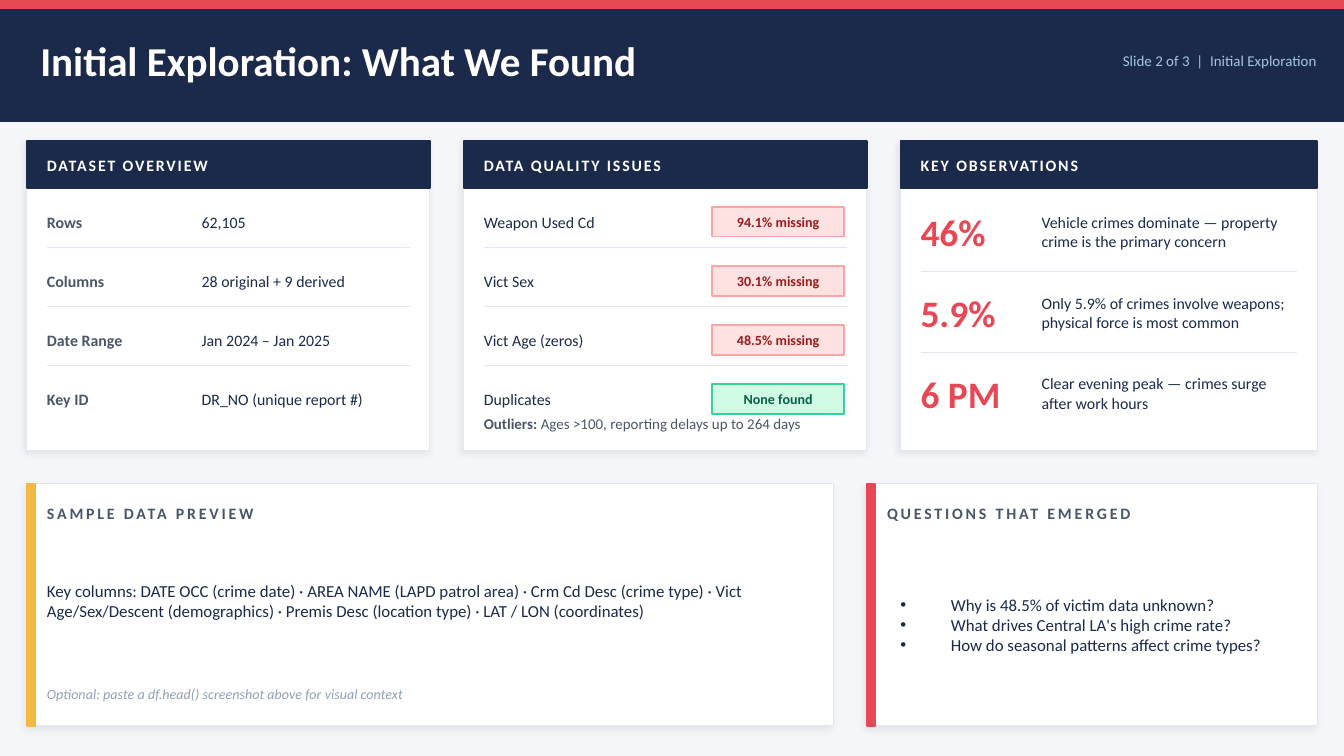
from lxml.etree import SubElement
from pptx import Presentation
from pptx.dml.color import RGBColor
from pptx.enum.shapes import MSO_CONNECTOR, MSO_SHAPE
from pptx.enum.text import MSO_ANCHOR, MSO_AUTO_SIZE, PP_ALIGN
from pptx.oxml import parse_xml
from pptx.oxml.ns import nsdecls, qn
from pptx.util import Pt

NAVY = RGBColor(0x1B, 0x2A, 0x4A)
RED = RGBColor(0xE8, 0x48, 0x55)
YELLOW = RGBColor(0xF4, 0xB9, 0x42)
WHITE = RGBColor(0xFF, 0xFF, 0xFF)
PAGE = RGBColor(0xF4, 0xF6, 0xFA)
RULE = RGBColor(0xE2, 0xE8, 0xF2)
SLATE = RGBColor(0x4A, 0x55, 0x68)
MUTED = RGBColor(0x8D, 0xA1, 0xB9)
SKY = RGBColor(0xA8, 0xC4, 0xE0)
BAD = (RGBColor(0xFE, 0xE2, 0xE2), RGBColor(0xFC, 0xA5, 0xA5), RGBColor(0x99, 0x1B, 0x1B))
GOOD = (RGBColor(0xD1, 0xFA, 0xE5), RGBColor(0x34, 0xD3, 0x99), RGBColor(0x06, 0x5F, 0x46))
SHADOW = (
    f'<a:effectLst {nsdecls("a")}><a:outerShdw blurRad="50800" dist="25400" dir="8100000" '
    'algn="bl" rotWithShape="0"><a:srgbClr val="000000"><a:alpha val="8000"/></a:srgbClr>'
    '</a:outerShdw></a:effectLst>'
)

prs = Presentation()
prs.slide_width, prs.slide_height = Pt(720), Pt(405)
slide = prs.slides.add_slide(prs.slide_layouts[1])
slide.background.fill.solid()
slide.background.fill.fore_color.rgb = PAGE
shapes = slide.shapes
title, questions = slide.placeholders


def box(left, top, width, height, fill, line, weight=1):
    shape = shapes.add_shape(MSO_SHAPE.RECTANGLE, Pt(left), Pt(top), Pt(width), Pt(height))
    shape.fill.solid()
    shape.fill.fore_color.rgb = fill
    shape.line.color.rgb = line
    shape.line.width = Pt(weight)
    shape.shadow.inherit = False
    return shape


def write(shape, area, text, size, color, bold=False, italic=False,
          align=PP_ALIGN.LEFT, spacing=0, inset=(0, 0)):
    shape.left, shape.top, shape.width, shape.height = [Pt(length) for length in area]
    frame = shape.text_frame
    frame.text = text
    frame.word_wrap = True
    frame.auto_size = MSO_AUTO_SIZE.NONE
    frame.vertical_anchor = MSO_ANCHOR.MIDDLE
    frame.margin_left = frame.margin_right = Pt(inset[0])
    frame.margin_top = frame.margin_bottom = Pt(inset[1])
    for paragraph in frame.paragraphs:
        paragraph.alignment = align
        paragraph.space_before = Pt(0)
        for run in paragraph.runs:
            run.font.name = "Calibri"
            run.font.size = Pt(size)
            run.font.bold = bold
            run.font.italic = italic
            run.font.color.rgb = color
            if spacing:
                run._r.get_or_add_rPr().set("spc", str(int(spacing * 100)))
    return frame


box(0, 0, 720, 64.8, NAVY, NAVY)
box(0, 0, 720, 4.32, RED, RED)
shapes._spTree.append(title._element)
write(title, (21.6, 0, 576, 64.8), "Initial Exploration: What We Found", 22, WHITE, bold=True)
progress = shapes.add_textbox(0, 0, 0, 0)
write(progress, (540, 0, 165.6, 64.8), "Slide 2 of 3  |  Initial Exploration", 8, SKY,
      align=PP_ALIGN.RIGHT)

for left, top, width, height, heading, accent in [
    (14.4, 75.6, 216, 165.6, "DATASET OVERVIEW", None),
    (248.4, 75.6, 216, 165.6, "DATA QUALITY ISSUES", None),
    (482.4, 75.6, 223.2, 165.6, "KEY OBSERVATIONS", None),
    (14.4, 259.2, 432, 129.6, "SAMPLE DATA PREVIEW", YELLOW),
    (464.4, 259.2, 241.2, 129.6, "QUESTIONS THAT EMERGED", RED),
]:
    card = box(left, top, width, height, WHITE, RULE, 0.5)
    card._element.spPr.remove(card._element.spPr.find(qn("a:effectLst")))
    card._element.spPr.append(parse_xml(SHADOW))
    if accent:
        box(left, top, 4.32, height, accent, accent)
        write(shapes.add_textbox(0, 0, 0, 0), (left + 10.8, top + 5.76, width - 21.6, 20.16),
              heading, 8.5, SLATE, bold=True, spacing=1.5)
    else:
        band = box(left, top, width, 25.2, NAVY, NAVY)
        write(band, (left, top, width, 25.2), heading, 8.5, WHITE, bold=True, spacing=1,
              inset=(10.8, 0))

for left, width, first, step, count in [
    (25.2, 194.4, 132.48, 31.68, 3),
    (259.2, 194.4, 132.48, 31.68, 3),
    (493.2, 201.6, 145.44, 43.2, 2),
]:
    for index in range(count):
        y = Pt(first + index * step)
        rule = shapes.add_connector(MSO_CONNECTOR.STRAIGHT, Pt(left), y, Pt(left + width), y)
        rule.line.color.rgb = RULE
        rule.line.width = Pt(0.5)
        SubElement(rule._element.spPr, qn("a:effectLst"))

for index, (label, value) in enumerate([
    ("Rows", "62,105"),
    ("Columns", "28 original + 9 derived"),
    ("Date Range", "Jan 2024 – Jan 2025"),
    ("Key ID", "DR_NO (unique report #)"),
]):
    top = 108 + index * 31.68
    write(shapes.add_textbox(0, 0, 0, 0), (25.2, top, 79.2, 21.6), label, 8.5, SLATE, bold=True)
    write(shapes.add_textbox(0, 0, 0, 0), (108, top, 111.6, 21.6), value, 8.5, NAVY)

for index, (column, finding, (fill, line, ink)) in enumerate([
    ("Weapon Used Cd", "94.1% missing", BAD),
    ("Vict Sex", "30.1% missing", BAD),
    ("Vict Age (zeros)", "48.5% missing", BAD),
    ("Duplicates", "None found", GOOD),
]):
    top = 108 + index * 31.68
    write(shapes.add_textbox(0, 0, 0, 0), (259.2, top, 111.6, 21.6), column, 8.5, NAVY)
    badge_area = (381.6, top + 2.88, 70.56, 15.84)
    badge = box(*badge_area, fill, line)
    write(badge, badge_area, finding, 7.5, ink, bold=True, align=PP_ALIGN.CENTER)

outliers = write(shapes.add_textbox(0, 0, 0, 0), (259.2, 216, 194.4, 21.6), "Outliers: ", 8,
                 SLATE, bold=True)
detail = outliers.paragraphs[0].add_run()
detail.text = "Ages >100, reporting delays up to 264 days"
detail.font.name = "Calibri"
detail.font.size = Pt(8)
detail.font.color.rgb = SLATE

for index, (figure, observation) in enumerate([
    ("46%", "Vehicle crimes dominate — property crime is the primary concern"),
    ("5.9%", "Only 5.9% of crimes involve weapons; physical force is most common"),
    ("6 PM", "Clear evening peak — crimes surge after work hours"),
]):
    top = 108 + index * 43.2
    write(shapes.add_textbox(0, 0, 0, 0), (493.2, top, 57.6, 32.4), figure, 20, RED, bold=True)
    write(shapes.add_textbox(0, 0, 0, 0), (558, top, 136.8, 32.4), observation, 8.5, NAVY)

key_columns = (
    "Key columns: DATE OCC (crime date) · AREA NAME (LAPD patrol area) · "
    "Crm Cd Desc (crime type) · Vict Age/Sex/Descent (demographics) · "
    "Premis Desc (location type) · LAT / LON (coordinates)"
)
write(shapes.add_textbox(0, 0, 0, 0), (25.2, 289.44, 410.4, 64.8), key_columns, 9, NAVY)
write(shapes.add_textbox(0, 0, 0, 0), (25.2, 361.44, 396, 20.16),
      "Optional: paste a df.head() screenshot above for visual context", 7.5, MUTED, italic=True)

shapes._spTree.append(questions._element)
question_list = write(
    questions, (475.2, 291.6, 219.6, 86.4),
    "Why is 48.5% of victim data unknown?\n"
    "What drives Central LA's high crime rate?\n"
    "How do seasonal patterns affect crime types?",
    9, NAVY, inset=(7.2, 3.6))
for question in question_list.paragraphs:
    properties = question._p.get_or_add_pPr()
    properties.set("marL", str(Pt(27)))
    properties.set("indent", str(-Pt(27)))
    SubElement(properties, qn("a:buChar")).set("char", "•")

prs.save("out.pptx")
